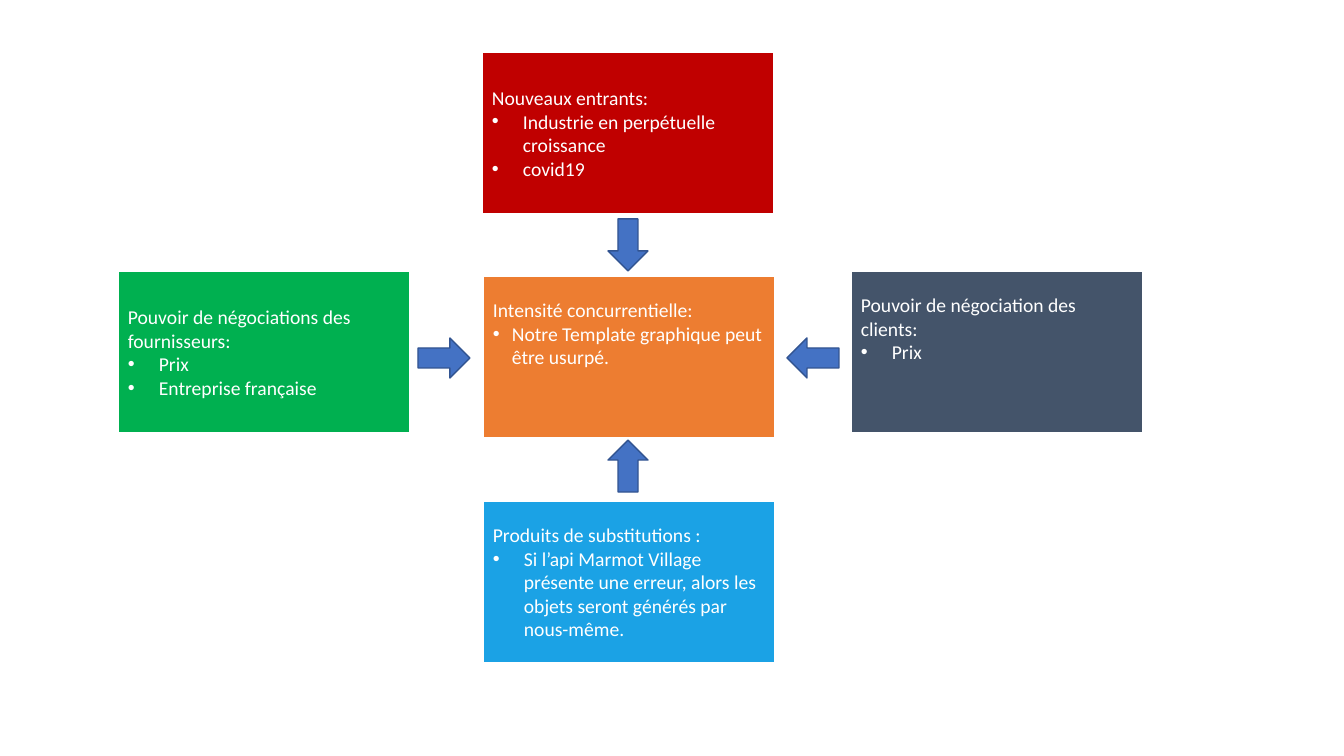
from dataclasses import dataclass

from lxml import etree
from pptx import Presentation
from pptx.dml.color import RGBColor
from pptx.enum.shapes import MSO_SHAPE as SHAPE
from pptx.enum.text import MSO_ANCHOR as ANCHOR, PP_ALIGN as ALIGN
from pptx.oxml.ns import qn
from pptx.util import Pt

EMU_PER_PX = 914400 / 100.8


@dataclass(frozen=True)
class Theme:
    """Colours and type of the slide."""
    font: str = "Calibri"
    size: int = 14
    line: float = 1
    white: str = "FFFFFF"
    rivalry: str = "ED7D31"
    entrants: str = "C00000"
    clients: str = "44546A"
    substitutes: str = "1BA2E5"
    suppliers: str = "00B050"
    arrow: str = "4472C4"
    arrow_line: str = "325491"


THEME = Theme()
BOX_W, BOX_H = 292, 162
ARROW_W, ARROW_H = 40, 52
TWO_LINES = 47

# left, top, colour, heading, bullets, bullet indent, space kept free below
FORCES = [
    (483, 276, THEME.rivalry, "Intensité concurrentielle:",
     ["Notre Template graphique peut être usurpé."], 19, TWO_LINES),
    (482, 52, THEME.entrants, "Nouveaux entrants:",
     ["Industrie en perpétuelle croissance", "covid19"], 31, 0),
    (851, 271, THEME.clients, "Pouvoir de négociation des clients:",
     ["Prix"], 31, TWO_LINES),
    (483, 501, THEME.substitutes, "Produits de substitutions :",
     ["Si l’api Marmot Village présente une erreur, alors les objets "
      "seront générés par nous-même."], 31, 0),
    (118, 271, THEME.suppliers, "Pouvoir de négociations des fournisseurs:",
     ["Prix", "Entreprise française"], 31, 0),
]

# centre x, centre y, rotation
ARROWS = [(628, 245, 0), (813, 358, 90), (628, 466, 180), (444, 358, 270)]


def px(n):
    """Turn pixels into EMU."""
    return round(n * EMU_PER_PX)


def set_attrs(obj, values):
    """Set each attribute named in a dict."""
    for name, value in values.items():
        setattr(obj, name, value)


def add_figure(slide, kind, box, fill, line):
    """Add a flat preset shape in a pixel box."""
    sp = slide.shapes.add_shape(kind, *map(px, box))
    sp.shadow.inherit = False
    sp.fill.solid()
    sp.fill.fore_color.rgb = RGBColor.from_string(fill)
    sp.line.color.rgb = RGBColor.from_string(line)
    sp.line.width = Pt(THEME.line)
    return sp


def write(p, text):
    """Write one left-aligned run in the theme's type."""
    p.alignment = ALIGN.LEFT
    r = p.add_run()
    r.text = text
    set_attrs(r.font, {"name": THEME.font, "size": Pt(THEME.size)})
    r.font.color.rgb = RGBColor.from_string(THEME.white)


def add_bullet(p, indent):
    """Give a paragraph a hanging bullet."""
    pPr = p._p.get_or_add_pPr()
    pPr.set("marL", str(px(indent)))
    pPr.set("indent", str(-px(indent)))
    etree.SubElement(pPr, qn("a:buFont")).set("typeface", "Arial")
    etree.SubElement(pPr, qn("a:buChar")).set("char", "•")


def add_force(slide, left, top, fill, heading, bullets, indent, below):
    """Add one force: a coloured box with a heading and bullets."""
    sp = add_figure(slide, SHAPE.RECTANGLE, (left, top, BOX_W, BOX_H),
                    fill, THEME.white)
    tf = sp.text_frame
    set_attrs(tf, {"word_wrap": True, "vertical_anchor": ANCHOR.MIDDLE,
                   "margin_bottom": px(5 + below)})
    write(tf.paragraphs[0], heading)
    for text in bullets:
        p = tf.add_paragraph()
        write(p, text)
        add_bullet(p, indent)


def add_arrow(slide, cx, cy, rotation):
    """Add a block arrow centred on a point and turned to the middle box."""
    box = (cx - ARROW_W / 2, cy - ARROW_H / 2, ARROW_W, ARROW_H)
    sp = add_figure(slide, SHAPE.DOWN_ARROW, box, THEME.arrow, THEME.arrow_line)
    sp.rotation = rotation


def build_five_forces(prs):
    """Build the five forces diagram on a blank slide."""
    slide = prs.slides.add_slide(prs.slide_layouts[6])
    for force in FORCES:
        add_force(slide, *force)
    for arrow in ARROWS:
        add_arrow(slide, *arrow)


prs = Presentation()
set_attrs(prs, {"slide_width": px(1344), "slide_height": px(756)})
build_five_forces(prs)
prs.save("out.pptx")
